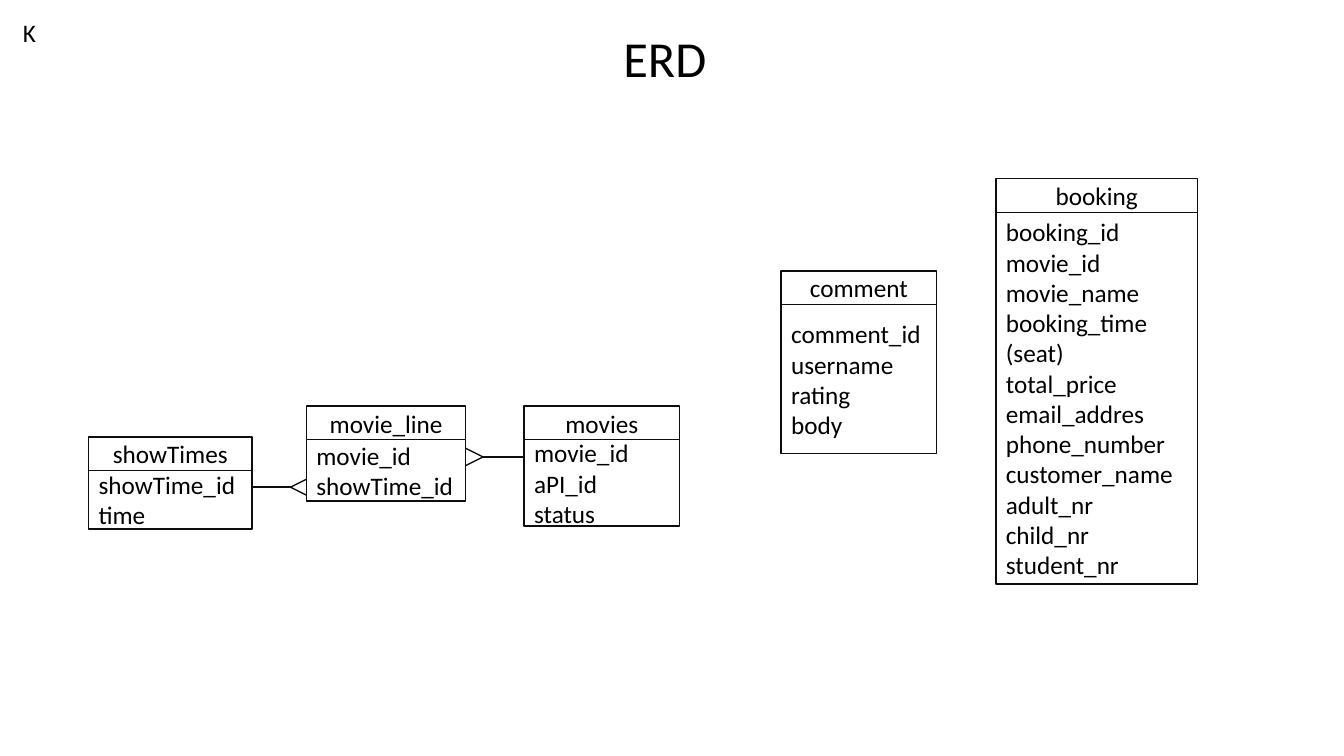
from dataclasses import dataclass

from pptx import Presentation
from pptx import util as u
from pptx.dml.color import RGBColor
from pptx.enum import shapes, text
from pptx.oxml import ns, xmlchemy

INK, BLACK, WHITE = "0D0D0D", "000000", "FFFFFF"
HEADER_H = 24
FOOT = 18  # side of a crow's foot


@dataclass
class Entity:
    name: str
    x: float
    y: float
    w: float
    body_h: float
    fields: list[str]


@dataclass
class Relation:
    x1: float
    x2: float
    y: float
    foot_x: float
    rotation: int


ENTITIES = [
    Entity("comment", 558, 193.5, 111, 106.5,
           ["comment_id", "username", "rating", "body"]),
    Entity("booking", 711.4, 127.6, 144, 265.7,
           ["booking_id", "movie_id", "movie_name", "booking_time", "(seat)",
            "total_price", "email_addres", "phone_number", "customer_name",
            "adult_nr", "child_nr", "student_nr"]),
    Entity("movies", 374.4, 290.1, 111, 61.8, ["movie_id", "aPI_id", "status"]),
    Entity("showTimes", 63.3, 312, 116.7, 42, ["showTime_id", "time"]),
    Entity("movie_line", 218.9, 290.1, 113.8, 43.8, ["movie_id", "showTime_id"]),
]
RELATIONS = [
    Relation(305.3, 374.4, 326.4, 327, 90),
    Relation(180, 218.9, 348, 207.5, 270),
]


def color(value: str) -> RGBColor:
    return RGBColor.from_string(value)


def write(tf, lines: list[str], size: float = 18, centered: bool = False) -> None:
    for i, line in enumerate(lines):
        p = tf.paragraphs[0] if i == 0 else tf.add_paragraph()
        p.alignment = text.PP_ALIGN.CENTER if centered else text.PP_ALIGN.LEFT
        r = p.add_run()
        r.text = line
        r.font.name = "Calibri"
        r.font.size = u.Pt(size)
        r.font.color.rgb = color(BLACK)


def add_outline(slide, kind, x: float, y: float, w: float, h: float):
    sp = slide.shapes.add_shape(kind, u.Pt(x), u.Pt(y), u.Pt(w), u.Pt(h))
    sp.shadow.inherit = False
    sp.fill.solid()
    sp.fill.fore_color.rgb = color(WHITE)
    sp.line.color.rgb = color(INK)
    sp.line.width = u.Pt(1)
    return sp


def add_cell(slide, x: float, y: float, w: float, h: float,
             lines: list[str], centered: bool = False) -> None:
    sp = add_outline(slide, shapes.MSO_SHAPE.RECTANGLE, x, y, w, h)
    tf = sp.text_frame
    tf.word_wrap = True
    tf.vertical_anchor = text.MSO_ANCHOR.MIDDLE
    write(tf, lines, centered=centered)


def add_entity(slide, e: Entity) -> None:
    add_cell(slide, e.x, e.y + HEADER_H, e.w, e.body_h, e.fields)
    add_cell(slide, e.x, e.y, e.w, HEADER_H, [e.name], centered=True)


def add_relation(slide, rel: Relation) -> None:
    line = slide.shapes.add_connector(
        shapes.MSO_CONNECTOR.STRAIGHT,
        u.Pt(rel.x1), u.Pt(rel.y), u.Pt(rel.x2), u.Pt(rel.y))
    line.line.color.rgb = color(INK)
    line.line.width = u.Pt(1)
    line._element.spPr.append(xmlchemy.OxmlElement("a:effectLst"))
    foot = add_outline(slide, shapes.MSO_SHAPE.ISOSCELES_TRIANGLE,
                       rel.foot_x, rel.y - FOOT / 2, FOOT, FOOT)
    foot.rotation = rel.rotation


def add_label(slide, x: float, y: float, w: float, h: float, label: str,
              size: float, centered: bool, wrap: bool) -> None:
    tf = slide.shapes.add_textbox(u.Pt(x), u.Pt(y), u.Pt(w), u.Pt(h)).text_frame
    tf.word_wrap = wrap
    tf.auto_size = text.MSO_AUTO_SIZE.SHAPE_TO_FIT_TEXT
    write(tf, [label], size, centered)


def main() -> None:
    prs = Presentation()
    prs.slide_width, prs.slide_height = u.Pt(960), u.Pt(540)
    s = prs.slides.add_slide(prs.slide_layouts[6])

    # Title and corner letter
    add_label(s, 122.4, 15.8, 705, 51, "ERD", 36, centered=True, wrap=True)
    add_label(s, 9.2, 8.8, 23.8, 29, "K", 18, centered=False, wrap=False)

    # Relations lie under the entities
    for rel in RELATIONS:
        add_relation(s, rel)
    for entity in ENTITIES:
        add_entity(s, entity)

    prs.save("out.pptx")


if __name__ == "__main__":
    main()
